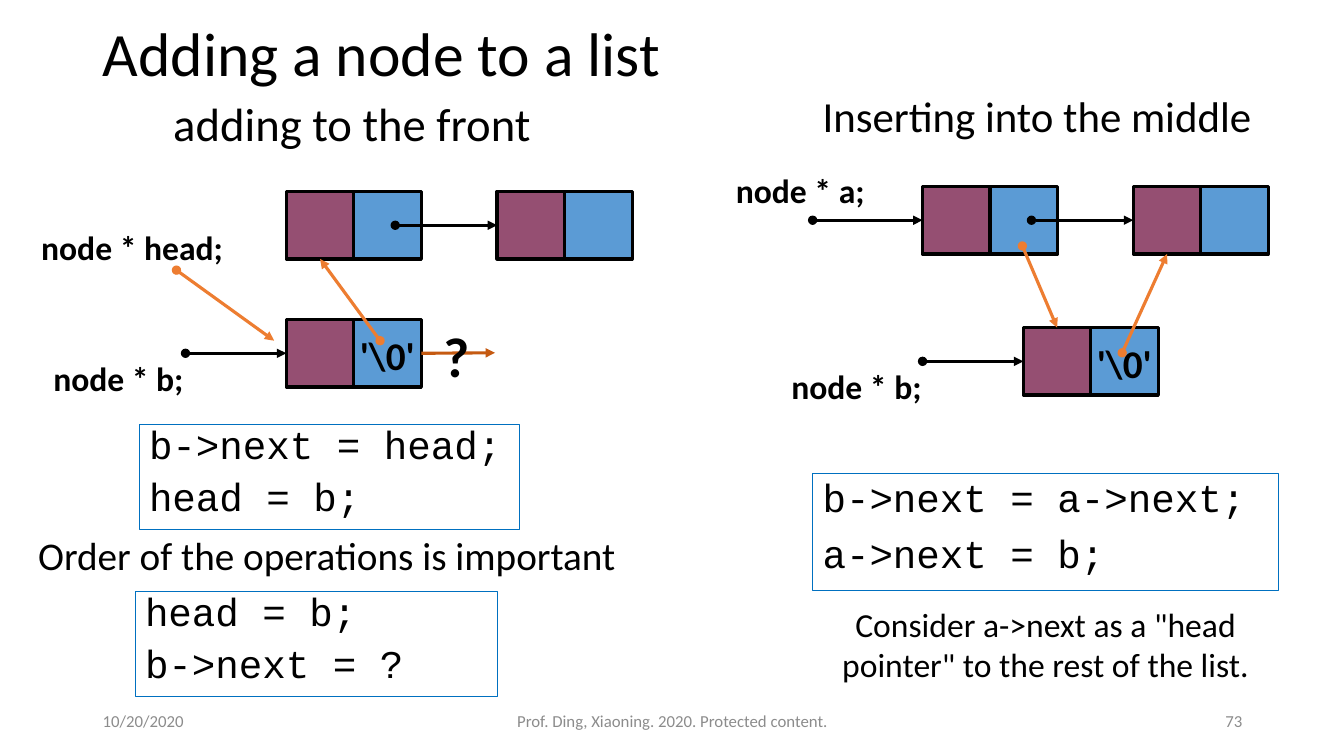
import dataclasses

import lxml.etree
import pptx
import pptx.dml.color
import pptx.enum.shapes
import pptx.enum.text
import pptx.oxml.ns
import pptx.util

Inches = pptx.util.Inches
Pt = pptx.util.Pt
Align = pptx.enum.text.PP_ALIGN
Anchor = pptx.enum.text.MSO_ANCHOR
Kind = pptx.enum.shapes.MSO_SHAPE
qn = pptx.oxml.ns.qn
TOP, LEFT, BOTTOM, RIGHT = range(4)


@dataclasses.dataclass(frozen=True)
class Theme:
    ink: str = "000000"
    gray: str = "8C8C8C"
    plum: str = "954F72"
    blue: str = "5B9BD5"
    frame: str = "0070C0"
    orange: str = "ED7D31"
    rust: str = "C55A11"
    sans: str = "Calibri"
    mono: str = "Courier New"
    title: float = 44
    mark: float = 40
    front: float = 33.3
    middle: float = 30.6
    code: float = 28
    label: float = 24
    foot: float = 12


theme = Theme()
CELL = 0.67


def color(value):
    return pptx.dml.color.RGBColor.from_string(value)


def write(shape, lines, size, face=theme.sans, ink=theme.ink, bold=False,
          align=Align.LEFT, anchor=Anchor.TOP, wrap=True, lead=1.0):
    frame = shape.text_frame
    frame.text = "\n".join(lines)
    frame.auto_size = pptx.enum.text.MSO_AUTO_SIZE.NONE
    frame.word_wrap = wrap
    frame.vertical_anchor = anchor
    for index, para in enumerate(frame.paragraphs):
        para.alignment = align
        para.line_spacing = lead
        para.space_before = Pt(10 if index else 0)
        font = para.font
        font.name, font.size, font.bold = face, Pt(size), bold
        font.color.rgb = color(ink)


def text(slide, x, y, w, h, words, size, **style):
    box = slide.shapes.add_textbox(Inches(x), Inches(y), Inches(w), Inches(h))
    write(box, [words], size, **style)


def label(slide, x, y, w, words):
    text(slide, x, y, w, 0.5, words, theme.label, bold=True, wrap=False)


def rect(slide, x, y, w, h, line, width, fill=None):
    shape = slide.shapes.add_shape(
        Kind.RECTANGLE, Inches(x), Inches(y), Inches(w), Inches(h))
    shape.shadow.inherit = False
    shape.line.color.rgb = color(line)
    shape.line.width = Pt(width)
    if fill:
        shape.fill.solid()
        shape.fill.fore_color.rgb = color(fill)
    else:
        shape.fill.background()
    return shape


def node(slide, x, y):
    link, data = [
        rect(slide, x + shift, y, CELL, CELL, theme.ink, 2.25, fill)
        for shift, fill in ((CELL, theme.blue), (0, theme.plum))]
    return data, link


def null(slide, x, y):
    text(slide, x + 0.63, y + 0.07, 0.75, 0.57, r"'\0'", theme.code,
         bold=True, wrap=False)


def code(slide, x, y, w, h, lines, lead):
    shape = rect(slide, x, y, w, h, theme.frame, 0.75)
    write(shape, lines, theme.code, face=theme.mono, lead=lead)


def arrow(slide, start, end, ink=theme.ink, dot=True, source=None, target=None):
    line = slide.shapes.add_connector(
        pptx.enum.shapes.MSO_CONNECTOR.STRAIGHT, *map(Inches, start + end))
    if source:
        line.begin_connect(*source)
    if target:
        line.end_connect(*target)
    line.line.color.rgb = color(ink)
    line.line.width = Pt(2.25)
    pen = line.line._get_or_add_ln()
    if dot:
        lxml.etree.SubElement(pen, qn("a:headEnd"), type="oval")
    lxml.etree.SubElement(pen, qn("a:tailEnd"), type="triangle")
    lxml.etree.SubElement(line._element.spPr, qn("a:effectLst"))


def reach(slide, x, end, y, cell):
    mid = y + CELL / 2
    arrow(slide, (x, mid), (end, mid), target=(cell, LEFT))


def heading(slide, x, y, w, h):
    title = slide.shapes.title
    title.left, title.top = Inches(x), Inches(y)
    title.width, title.height = Inches(w), Inches(h)
    write(title, ["Adding a node to a list"], theme.title,
          anchor=Anchor.MIDDLE, lead=0.9)


def front(slide, x, y):
    text(slide, x + 1.34, y + 0.06, 3.97, 0.68, "adding to the front",
         theme.front, lead=0.9)
    col, row, low = x + 2.56, y + 1, y + 2.27
    first, link = node(slide, col, row)
    last, end = node(slide, col + 2.09, row)
    fresh, tail = node(slide, col, low)
    label(slide, x + 0.03, y + 1.3, 2.02, "node * head;")
    label(slide, x + 0.15, y + 2.6, 1.51, "node * b;")
    reach(slide, col + 1.08, col + 2.09, row, last)
    reach(slide, x + 1.56, col, low, fresh)
    arrow(slide, (x + 3.49, y + 2.48), (x + 2.85, y + 1.67), theme.orange,
          target=(first, BOTTOM))
    arrow(slide, (x + 1.47, y + 1.78), (x + 2.44, y + 2.48), theme.orange)
    null(slide, col, low)
    arrow(slide, (x + 3.9, y + 2.6), (x + 4.63, y + 2.6), theme.rust,
          dot=False, source=(tail, RIGHT))
    text(slide, x + 4.02, y + 2.24, 0.46, 0.77, "?", theme.mark,
         bold=True, wrap=False)
    code(slide, x + 1.1, y + 3.31, 3.77, 1.04,
         ["b->next = head;", "head = b;"], 0.8)
    text(slide, x, y + 4.37, 6.05, 0.55,
         "Order of the operations is important", theme.code, lead=0.9)
    code(slide, x + 1.06, y + 4.97, 3.59, 1.04,
         ["head = b;", "b->next = ?"], 0.8)


def middle(slide, x, y):
    text(slide, x + 0.86, y + 0.04, 4.72, 0.68, "Inserting into the middle",
         theme.middle, lead=0.8)
    col, row, low = x + 1.95, y + 0.95, y + 2.35
    first, link = node(slide, col, row)
    last, end = node(slide, col + 2.09, row)
    fresh, tail = node(slide, col + 1, low)
    label(slide, x, y + 0.74, 1.49, "node * a;")
    label(slide, x + 0.55, y + 2.68, 1.51, "node * b;")
    reach(slide, x + 0.86, col, row, first)
    reach(slide, col + 1.08, col + 2.09, row, last)
    reach(slide, col, col + 1, low, fresh)
    null(slide, col + 1, low)
    arrow(slide, (x + 3.93, y + 2.6), (x + 4.33, y + 1.66), theme.orange,
          target=(last, BOTTOM))
    arrow(slide, (x + 2.94, y + 1.54), (x + 3.26, y + 2.35), theme.orange,
          target=(fresh, TOP))
    code(slide, x + 0.86, y + 3.8, 4.62, 1.16,
         ["b->next = a->next;", "a->next = b;"], 0.9)
    text(slide, x + 0.96, y + 5.04, 4.42, 0.91,
         'Consider a->next as a "head pointer" to the rest of the list.',
         theme.label, align=Align.CENTER)


def footer(slide, x, y):
    for shift, w, words, align in (
            (0, 3, "10/20/2020", Align.LEFT),
            (3.5, 4.5, "Prof. Ding, Xiaoning. 2020. Protected content.",
             Align.CENTER),
            (8.5, 3, "73", Align.RIGHT)):
        text(slide, x + shift, y, w, 0.4, words, theme.foot, ink=theme.gray,
             align=align, anchor=Anchor.MIDDLE)


def main():
    deck = pptx.Presentation()
    deck.slide_width, deck.slide_height = Inches(13.33), Inches(7.5)
    slide = deck.slides.add_slide(deck.slide_layouts.get_by_name("Title Only"))
    heading(slide, 0.92, 0.05, 11.5, 1.02)
    front(slide, 0.28, 0.9)
    middle(slide, 7.2, 0.9)
    footer(slide, 0.92, 6.95)
    deck.save("out.pptx")


if __name__ == "__main__":
    main()
